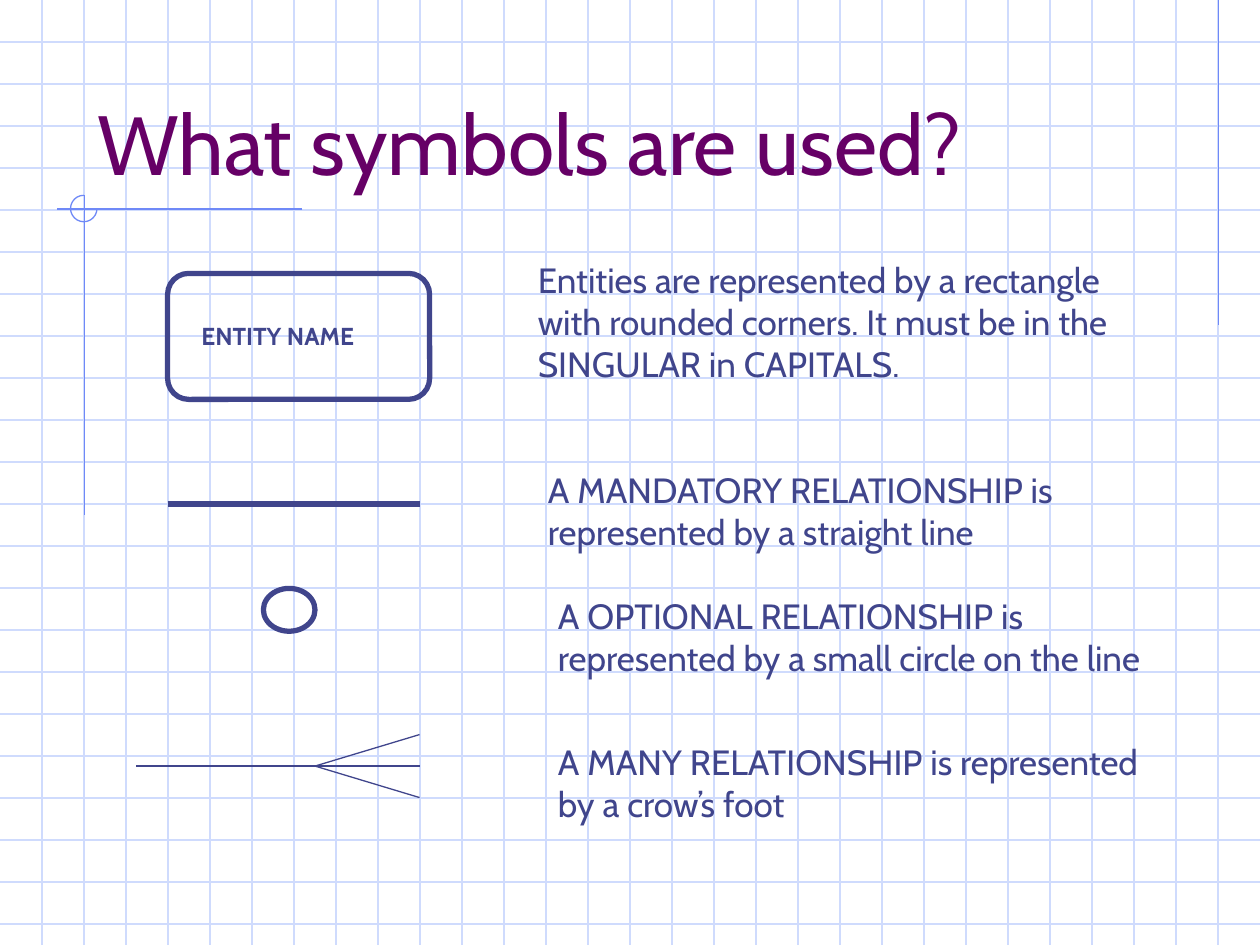
from lxml.etree import SubElement
from pptx import Presentation
from pptx.dml.color import RGBColor
from pptx.enum.shapes import MSO_CONNECTOR, MSO_SHAPE
from pptx.enum.text import MSO_ANCHOR, MSO_AUTO_SIZE, PP_ALIGN
from pptx.oxml.ns import qn
from pptx.util import Inches, Pt

INK, PURPLE, GRID, BLUE = "40458C", "660066", "CFDBFD", "6F89F7"


def style_line(shape, color, width):
    shape.line.color.rgb = RGBColor.from_string(color)
    shape.line.width = Pt(width)
    if shape.element.tag == qn("p:cxnSp"):
        SubElement(shape.element.spPr, qn("a:effectLst"))
    else:
        shape.shadow.inherit = False
        shape.fill.background()


def write(tf, text, size, color, bold=False):
    tf.word_wrap = True
    p = tf.paragraphs[0]
    p.alignment = PP_ALIGN.LEFT
    r = p.add_run()
    r.text = text
    r.font.name = "Cabin"
    r.font.size = Pt(size)
    r.font.bold = bold
    r.font.color.rgb = RGBColor.from_string(color)


prs = Presentation()
prs.slide_width, prs.slide_height = Inches(10), Inches(7.5)
s = prs.slides.add_slide(prs.slide_layouts[5])

# Graph paper, accent lines and crow's foot: shapes, colour, width, x1, y1, x2, y2
paper = s.shapes.add_group_shape()
lines = [(paper.shapes, GRID, 0.75, 0, i / 3, 10, i / 3) for i in range(1, 23)]
lines += [(paper.shapes, GRID, 0.75, i / 3, 0, i / 3, 7.5) for i in range(1, 30)]
lines += [
    (paper.shapes, BLUE, 0.75, 9.67, 0, 9.67, 2.58),
    (paper.shapes, BLUE, 0.75, 2.4, 1.66, 0.45, 1.66),
    (paper.shapes, BLUE, 0.75, 0.67, 1.55, 0.67, 4.09),
]
entity = s.shapes.add_group_shape()
crows_foot = s.shapes.add_group_shape()
lines += [
    (s.shapes, INK, 3, 1.33, 4, 3.33, 4),
    (crows_foot.shapes, INK, 0.75, 1.08, 6.08, 3.33, 6.08),
    (crows_foot.shapes, INK, 0.75, 2.5, 6.08, 3.33, 5.83),
    (crows_foot.shapes, INK, 0.75, 2.5, 6.08, 3.33, 6.33),
]
for shapes, color, width, *ends in lines:
    line = shapes.add_connector(MSO_CONNECTOR.STRAIGHT, *[Inches(v) for v in ends])
    style_line(line, color, width)

# Three-quarter circle where the accent lines cross
arc = paper.shapes.add_shape(
    MSO_SHAPE.ARC, Inches(0.56), Inches(1.55), Inches(0.21), Inches(0.21))
arc.adjustments[0], arc.adjustments[1] = 0, 162
style_line(arc, BLUE, 0.75)

# Title, in front of the graph paper
title = s.shapes.title
title.left, title.top = Inches(0.67), Inches(0.33)
title.width, title.height = Inches(8.5), Inches(1.25)
tf = title.text_frame
tf.auto_size = MSO_AUTO_SIZE.NONE
tf.vertical_anchor = MSO_ANCHOR.BOTTOM
write(tf, "What symbols are used?", 48, PURPLE)
paper.element.addnext(title.element)

# Entity symbol
box = entity.shapes.add_shape(
    MSO_SHAPE.ROUNDED_RECTANGLE, Inches(1.33), Inches(2.17), Inches(2.08), Inches(1))
box.adjustments[0] = 0.167
style_line(box, INK, 3)
name = entity.shapes.add_textbox(Inches(1.5), Inches(2.5), Inches(1.75), Inches(0.34))
write(name.text_frame, "ENTITY NAME", 14, INK, bold=True)

# Optional symbol
circle = s.shapes.add_shape(
    MSO_SHAPE.OVAL, Inches(2.09), Inches(4.67), Inches(0.41), Inches(0.34))
style_line(circle, INK, 3)

# Explanations
for left, top, height, text in [
    (4.17, 2, 1.44, "Entities are represented by a rectangle with rounded corners. "
                    "It must be in the SINGULAR in CAPITALS."),
    (4.25, 3.67, 0.77, "A MANDATORY RELATIONSHIP is represented by a straight line"),
    (4.33, 4.67, 1.1, "A OPTIONAL RELATIONSHIP is represented by a small circle on the line"),
    (4.33, 5.83, 0.77, "A MANY RELATIONSHIP is represented by a crow’s foot"),
]:
    note = s.shapes.add_textbox(Inches(left), Inches(top), Inches(4.83), Inches(height))
    write(note.text_frame, text, 20, INK)

prs.save("out.pptx")
